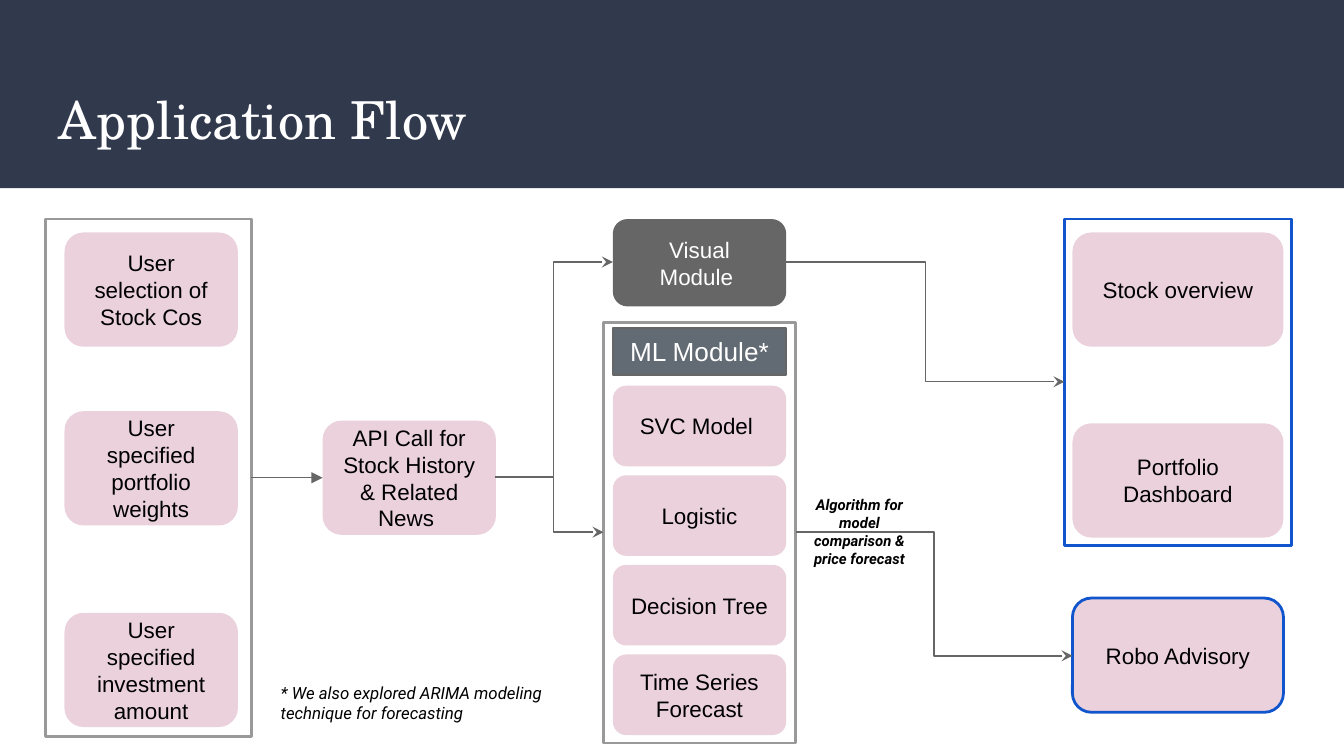
from pptx import Presentation
from pptx.dml.color import RGBColor
from pptx.enum.shapes import MSO_CONNECTOR as Connector, MSO_SHAPE as Shape
from pptx.enum.text import MSO_ANCHOR as Anchor, PP_ALIGN as Align
from pptx.oxml.ns import qn
from pptx.util import Inches, Pt
from lxml.etree import SubElement

COLORS = {
    "navy": "31394D", "pink": "EAD1DC", "slate": "626B73", "gray": "666666",
    "frame": "999999", "blue": "1155CC", "black": "000000", "white": "FFFFFF",
}


def add_box(left, top, width, height, text="", kind=Shape.ROUNDED_RECTANGLE, fill=None,
            line=None, line_width=1.5, font="Arial", size=12, color="black",
            align=Align.CENTER, anchor=Anchor.MIDDLE):
    """Add a shape, or a text box when kind is None, and format its text."""
    place = [Inches(value) for value in (left, top, width, height)]
    if kind is None:
        shape = slide.shapes.add_textbox(*place)
    else:
        shape = slide.shapes.add_shape(kind, *place)
        shape.shadow.inherit = False
    if fill:
        shape.fill.solid()
        shape.fill.fore_color.rgb = RGBColor.from_string(COLORS[fill])
    else:
        shape.fill.background()
    if line:
        shape.line.color.rgb = RGBColor.from_string(COLORS[line])
        shape.line.width = Pt(line_width)
    else:
        shape.line.fill.background()
    if text:
        frame = shape.text_frame
        frame.word_wrap = True
        frame.vertical_anchor = anchor
        frame.margin_left = frame.margin_right = Inches(0.1)
        frame.margin_top = frame.margin_bottom = Inches(0.1)
        frame.text = text
        paragraph = frame.paragraphs[0]
        paragraph.alignment = align
        run_font = paragraph.runs[0].font
        run_font.name = font
        run_font.size = Pt(size)
        run_font.color.rgb = RGBColor.from_string(COLORS[color])
    return shape


def add_arrow(kind, start, end, head="stealth", bend=0.5):
    """Add a connector with an arrowhead; bend is where an elbow turns."""
    connector = slide.shapes.add_connector(kind, *[Inches(value) for value in start + end])
    connector.line.color.rgb = RGBColor.from_string(COLORS["gray"])
    connector.line.width = Pt(0.75)
    SubElement(connector.line._get_or_add_ln(), qn("a:tailEnd"), type=head)
    SubElement(connector._element.spPr, qn("a:effectLst"))
    if kind == Connector.ELBOW:
        guides = connector._element.spPr.find(qn("a:prstGeom")).get_or_add_avLst()
        SubElement(guides, qn("a:gd"), name="adj1", fmla=f"val {round(bend * 100000)}")
    return connector


presentation = Presentation()
presentation.slide_width = Inches(10)
presentation.slide_height = Inches(10 * 9 / 16)
slide = presentation.slides.add_slide(presentation.slide_layouts[6])

# Title band
add_box(0, 0, 10, 1.4, kind=Shape.RECTANGLE, fill="navy")
add_box(0.34, 0.55, 9.32, 0.68, "Application Flow", kind=None, font="TeX Gyre Schola",
        size=28, color="white", align=Align.LEFT, anchor=Anchor.TOP)

# Frames around the inputs, the models and the dashboards
input_frame = add_box(0.34, 1.63, 1.53, 3.85, kind=Shape.RECTANGLE, line="frame")
add_box(4.49, 2.4, 1.43, 3.13, kind=Shape.RECTANGLE, line="frame")
add_box(7.92, 1.63, 1.69, 2.43, kind=Shape.RECTANGLE, line="blue")

# User inputs and the API call
inputs = [
    (1.73, "User selection of Stock Cos"),
    (3.06, "User specified portfolio weights"),
    (4.56, "User specified investment amount"),
]
for top, text in inputs:
    add_box(0.48, top, 1.29, 0.85, text, fill="pink")
api_call = add_box(2.4, 3.13, 1.29, 0.85, "API Call for Stock History & Related News ", fill="pink")

# Visual and ML modules
add_box(4.56, 1.63, 1.29, 0.65, "Visual Module ", fill="gray", color="white")
add_box(4.56, 2.44, 1.29, 0.35, "ML Module*", kind=Shape.RECTANGLE, fill="slate",
        line="gray", line_width=0.75, size=14, color="white")
models = ["SVC Model ", "Logistic", "Decision Tree ", "Time Series Forecast"]
for row, model in enumerate(models):
    add_box(4.56, 2.87 + row * 2 / 3, 1.29, 0.6, model, fill="pink")

# Outputs
outputs = [
    (1.73, "Stock overview", None),
    (3.15, "Portfolio Dashboard", None),
    (4.45, "Robo Advisory", "blue"),
]
for top, text, outline in outputs:
    add_box(7.98, top, 1.57, 0.85, text, fill="pink", line=outline)

# Flow arrows
input_arrow = add_arrow(Connector.STRAIGHT, (1.87, 3.55), (2.4, 3.55), head="triangle")
input_arrow.begin_connect(input_frame, 3)
input_arrow.end_connect(api_call, 1)
elbows = [
    ((3.68, 3.55), (4.56, 1.95), 0.5),
    ((3.68, 3.55), (4.49, 3.96), 0.54),
    ((5.85, 1.95), (7.92, 2.84), 0.5),
    ((5.92, 3.96), (7.98, 4.88), 0.5),
]
for start, end, bend in elbows:
    add_arrow(Connector.ELBOW, start, end, bend=bend)

# Notes
algorithm_note = add_box(5.85, 3.59, 1.09, 0.74, "Algorithm for model comparison & price forecast",
                         kind=None, font="Roboto", size=8, anchor=Anchor.TOP)
footnote = add_box(1.99, 4.98, 2.28, 0.5,
                   "* We also explored ARIMA modeling technique for forecasting",
                   kind=None, font="Roboto", size=9, align=Align.LEFT, anchor=Anchor.TOP)
for note in (algorithm_note, footnote):
    note.text_frame.paragraphs[0].runs[0].font.italic = True
algorithm_note.text_frame.paragraphs[0].runs[0].font.bold = True

presentation.save("out.pptx")
